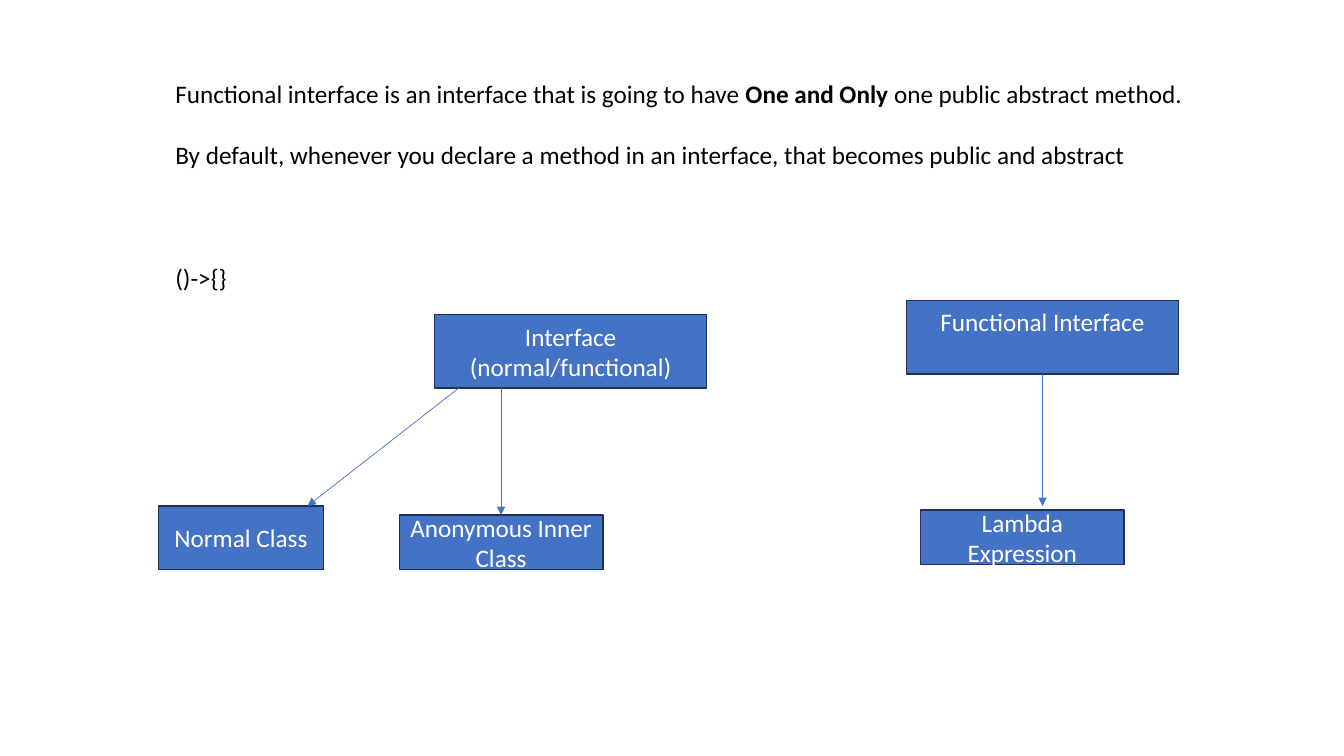
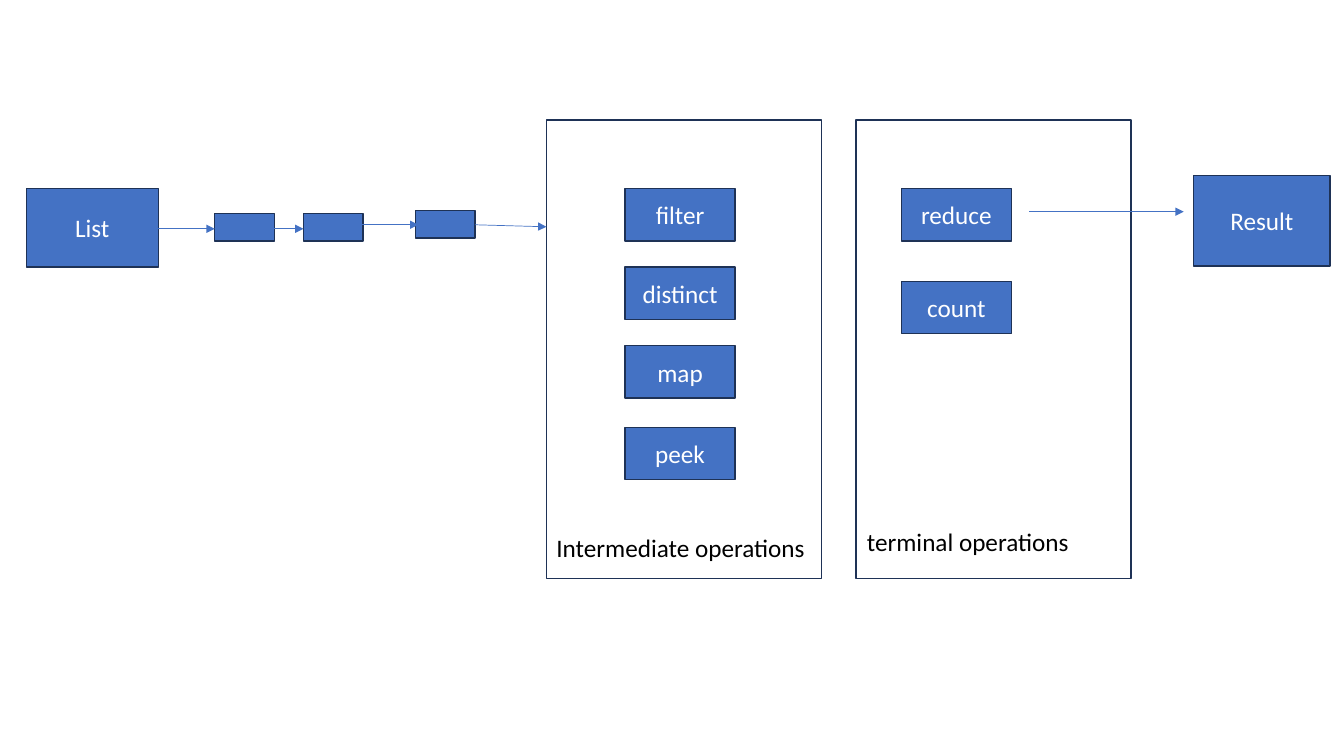
"""Build two slides on Java functional interfaces and stream operations."""
from dataclasses import dataclass

from lxml import etree
from pptx import Presentation
from pptx.dml.color import RGBColor
from pptx.enum.shapes import MSO_CONNECTOR, MSO_SHAPE
from pptx.enum.text import MSO_ANCHOR, PP_ALIGN
from pptx.oxml.ns import qn
from pptx.slide import Slide
from pptx.util import Emu, Pt

EMU_PER_PX = 9144
SLIDE_SIZE = (1333, 750)
BLANK_LAYOUT = 6

BLUE = RGBColor(0x44, 0x72, 0xC4)
NAVY = RGBColor(0x1E, 0x32, 0x56)
BLACK = RGBColor(0, 0, 0)
WHITE = RGBColor(255, 255, 255)

RECTANGLE = MSO_SHAPE.RECTANGLE
STRAIGHT = MSO_CONNECTOR.STRAIGHT
CENTER, LEFT = PP_ALIGN.CENTER, PP_ALIGN.LEFT
MIDDLE = MSO_ANCHOR.MIDDLE

FONT_FORMAT = {"name": "Calibri", "size": Pt(18)}
LINE_HEIGHT = 22
INSET = 5


@dataclass(frozen=True)
class Span:
    text: str
    bold: bool = False


@dataclass(frozen=True)
class Para:
    spans: tuple[Span, ...]
    lines_before: int = 0


@dataclass(frozen=True)
class Box:
    left: int
    top: int
    width: int
    height: int
    lines: tuple[str, ...] = ()
    filled: bool = True
    bottom_inset: int = INSET


@dataclass(frozen=True)
class Note:
    left: int
    top: int
    width: int
    height: int
    paras: tuple[Para, ...]


@dataclass(frozen=True)
class Arrow:
    start: tuple[int, int]
    end: tuple[int, int]


@dataclass(frozen=True)
class Page:
    boxes: tuple[Box, ...]
    notes: tuple[Note, ...]
    arrows: tuple[Arrow, ...]


def plain(text: str, lines_before: int = 0) -> Para:
    return Para((Span(text),), lines_before)


INTERFACE_PAGE = Page(
    boxes=(
        Box(431, 312, 270, 73, ("Interface", "(normal/functional)")),
        Box(157, 502, 164, 63, ("Normal Class",)),
        Box(396, 511, 202, 54, ("Anonymous Inner Class",)),
        Box(913, 506, 202, 54, ("Lambda Expression",)),
        Box(899, 298, 270, 73, ("Functional Interface",), bottom_inset=36),
    ),
    notes=(
        Note(164, 73, 1024, 222, (
            Para((
                Span("Functional interface is an interface that is going to have "),
                Span("One and Only ", bold=True),
                Span("one public abstract method."),
            )),
            plain("By default, whenever you declare a method in an interface, "
                  "that becomes public and abstract", 1),
            plain("()->{}", 3),
        )),
    ),
    arrows=(
        Arrow((455, 385), (305, 502)),
        Arrow((497, 385), (497, 511)),
        Arrow((1034, 371), (1034, 502)),
    ),
)

OPERATIONS = (
    (620, 187, "filter"),
    (620, 265, "distinct"),
    (620, 343, "map"),
    (620, 424, "peek"),
    (894, 187, "reduce"),
    (894, 279, "count"),
)
ELEMENTS = ((213, 212), (301, 212), (412, 209))

STREAM_PAGE = Page(
    boxes=(
        *(Box(left, top, 109, 52, (name,)) for left, top, name in OPERATIONS),
        *(Box(left, 119, 273, 455, filled=False) for left in (542, 849)),
        *(Box(left, top, 59, 27) for left, top in ELEMENTS),
        Box(26, 187, 131, 78, ("List",)),
        Box(1184, 174, 135, 90, ("Result",)),
    ),
    notes=(
        Note(542, 523, 307, 40, (plain("Intermediate operations"),)),
        Note(850, 517, 307, 40, (plain("terminal operations"),)),
    ),
    arrows=(
        Arrow((157, 227), (213, 227)),
        Arrow((245, 227), (301, 227)),
        Arrow((359, 223), (415, 223)),
        Arrow((471, 223), (542, 225)),
        Arrow((1021, 210), (1174, 210)),
    ),
)


def px(length: int) -> Emu:
    return Emu(length * EMU_PER_PX)


def write(frame, paras: tuple[Para, ...], color: RGBColor, align: PP_ALIGN) -> None:
    frame.word_wrap = True
    for index, para in enumerate(paras):
        paragraph = frame.add_paragraph() if index else frame.paragraphs[0]
        paragraph.alignment = align
        paragraph.space_before = Pt(para.lines_before * LINE_HEIGHT)
        for span in para.spans:
            run = paragraph.add_run()
            run.text = span.text
            for name, value in {**FONT_FORMAT, "bold": span.bold}.items():
                setattr(run.font, name, value)
            run.font.color.rgb = color


def draw_box(slide: Slide, box: Box) -> None:
    shape = slide.shapes.add_shape(
        RECTANGLE, px(box.left), px(box.top), px(box.width), px(box.height))
    shape.shadow.inherit = False
    if box.filled:
        shape.fill.solid()
        shape.fill.fore_color.rgb = BLUE
    else:
        shape.fill.background()
    shape.line.color.rgb = NAVY
    shape.line.width = Pt(1)
    frame = shape.text_frame
    frame.vertical_anchor = MIDDLE
    frame.margin_bottom = px(box.bottom_inset)
    write(frame, tuple(plain(line) for line in box.lines), WHITE, CENTER)


def draw_note(slide: Slide, note: Note) -> None:
    shape = slide.shapes.add_textbox(
        px(note.left), px(note.top), px(note.width), px(note.height))
    write(shape.text_frame, note.paras, BLACK, LEFT)


def draw_arrow(slide: Slide, arrow: Arrow) -> None:
    connector = slide.shapes.add_connector(
        STRAIGHT, *map(px, arrow.start), *map(px, arrow.end))
    connector.line.color.rgb = BLUE
    connector.line.width = Pt(0.5)
    properties = connector.line._get_or_add_ln()
    etree.SubElement(properties, qn("a:tailEnd"), type="triangle")
    etree.SubElement(properties.getparent(), qn("a:effectLst"))


def draw_page(slide: Slide, page: Page) -> None:
    for box in page.boxes:
        draw_box(slide, box)
    for note in page.notes:
        draw_note(slide, note)
    for arrow in page.arrows:
        draw_arrow(slide, arrow)


def main() -> None:
    deck = Presentation()
    deck.slide_width, deck.slide_height = map(px, SLIDE_SIZE)
    for page in (INTERFACE_PAGE, STREAM_PAGE):
        draw_page(deck.slides.add_slide(deck.slide_layouts[BLANK_LAYOUT]), page)
    deck.save("out.pptx")


if __name__ == "__main__":
    main()
